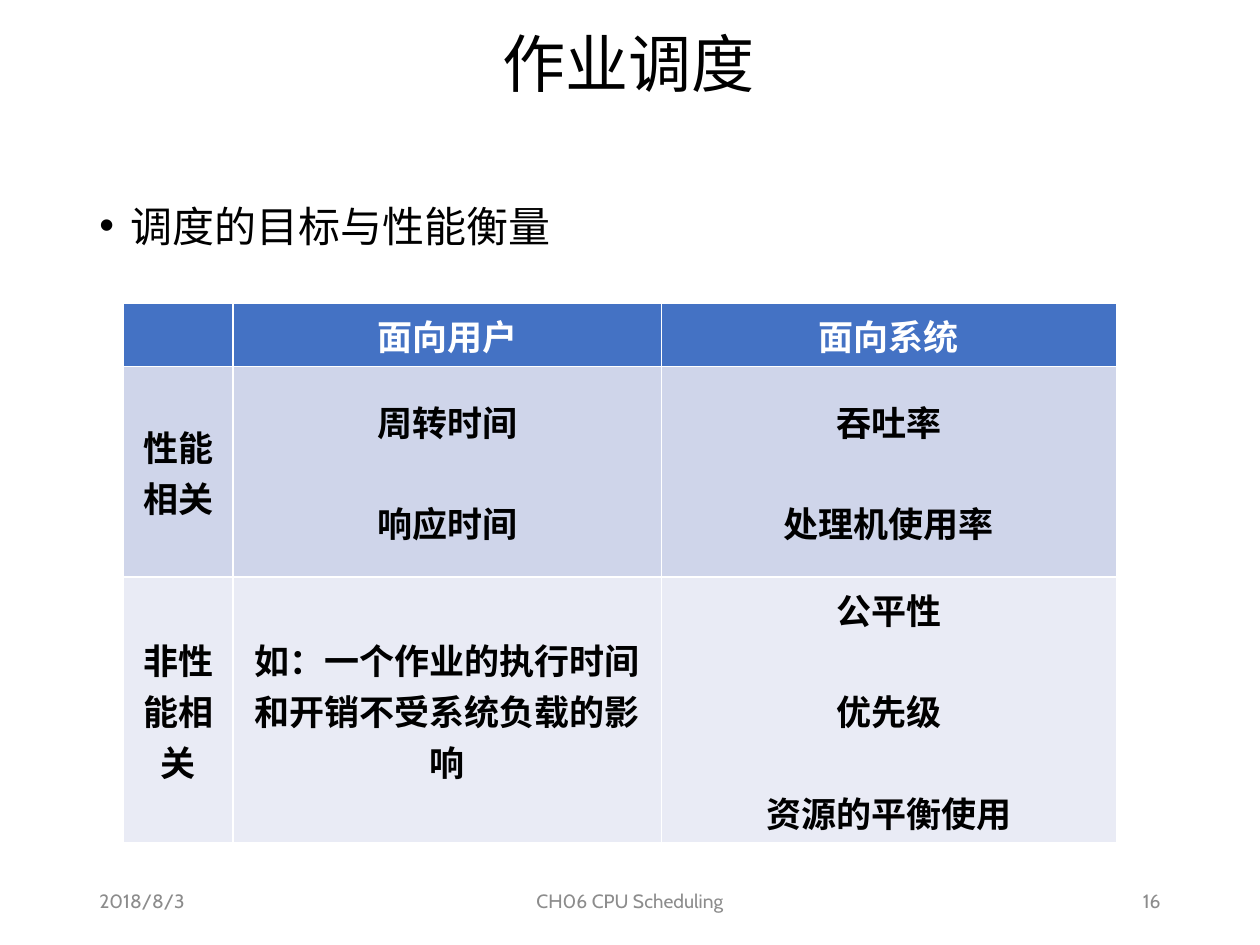
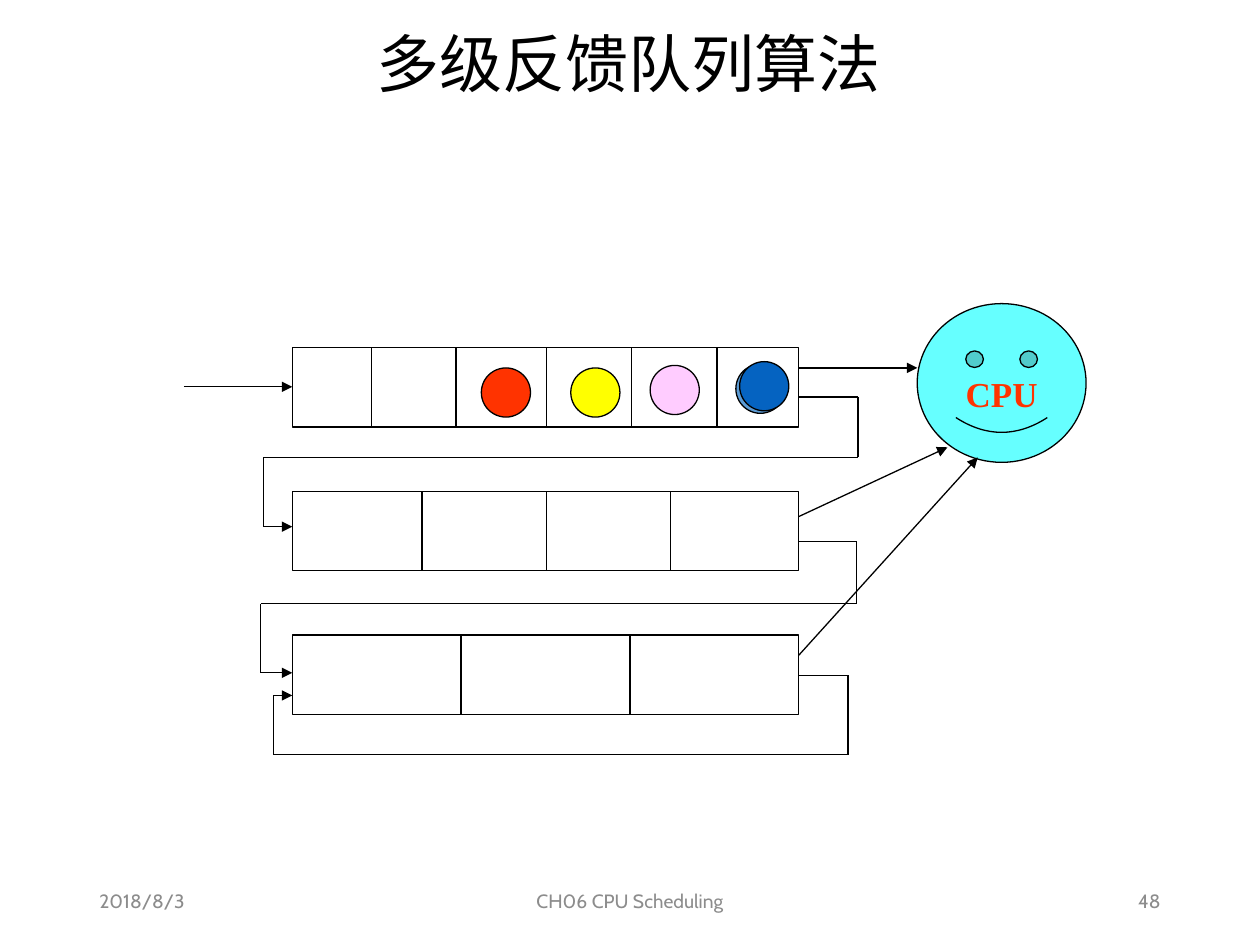
import itertools

import lxml.etree
import pptx
import pptx.dml.color
import pptx.enum.shapes
import pptx.enum.text
import pptx.oxml.ns
import pptx.util

Inches = pptx.util.Inches
Pt = pptx.util.Pt
ALIGN = pptx.enum.text.PP_ALIGN
ANCHOR = pptx.enum.text.MSO_ANCHOR
SHAPE = pptx.enum.shapes.MSO_SHAPE

# Shared style
CJK, LATIN, SERIF = "Noto Sans CJK SC", "Cabin", "Times New Roman"
BLACK, WHITE, GREY, RED = "000000", "FFFFFF", "8C8C8C", "FF3300"
LINE_WIDTH = 0.75
DATE, COURSE = "2018/8/3", "CH06 CPU Scheduling"

# Slide 1: scheduling goals
GOALS_TITLE, GOALS_PAGE = "作业调度", "16"
GOALS_BULLET = "调度的目标与性能衡量"
GOALS = [
    [[], ["面向用户"], ["面向系统"]],
    [["性能相关"], ["周转时间", "响应时间"], ["吞吐率", "处理机使用率"]],
    [["非性能相关"], ["如：一个作业的执行时间和开销不受系统负载的影响"],
     ["公平性", "优先级", "资源的平衡使用"]],
]
TABLE_LEFT, TABLE_TOP = 0.98, 2.41
COLUMN_WIDTHS = [0.87, 3.4, 3.61]
ROW_HEIGHTS = [0.5, 1.67, 2.11]
ROW_FILLS = ["4472C4", "CFD5EA", "E9EBF5"]

# Slide 2: feedback queues
QUEUES_TITLE, QUEUES_PAGE = "多级反馈队列算法", "48"
QUEUE_LEFT, QUEUE_RIGHT, QUEUE_HEIGHT = 2.32, 6.34, 0.63
QUEUES = [  # top, dividers
    (2.76, [2.95, 3.62, 4.34, 5.01, 5.69]),
    (3.9, [3.35, 4.34, 5.32]),
    (5.04, [3.66, 5]),
]
JOB_SIZE = 0.39
JOBS = [  # left, top, fill
    (5.84, 2.89, "5B9BD5"), (5.16, 2.9, "FFCCFF"), (4.53, 2.92, "FFFF00"),
    (3.82, 2.92, RED), (5.87, 2.87, "0563C1"),
]
FEEDBACK_LOOPS = [  # exit height, right edge, return height, left edge, entry height
    (3.15, 6.81, 3.63, 2.09, 4.18),
    (4.3, 6.8, 4.79, 2.07, 5.34),
    (5.36, 6.73, 5.99, 2.17, 5.52),
]
ARROWS = [
    ((1.46, 3.07), (QUEUE_LEFT, 3.07)),
    ((QUEUE_RIGHT, 2.92), (7.28, 2.92)),
    ((QUEUE_RIGHT, 4.1), (7.52, 3.55)),
    ((QUEUE_RIGHT, 5.2), (7.76, 3.63)),
]


def rgb(color):
    return pptx.dml.color.RGBColor.from_string(color)


def add_xml(parent, tag, **attributes):
    return lxml.etree.SubElement(parent, pptx.oxml.ns.qn(tag), attributes)


def format_paragraph(paragraph, size, font, color, align=ALIGN.LEFT, bold=False):
    paragraph.alignment = align
    for run in paragraph.runs:
        run.font.size = Pt(size)
        run.font.bold = bold
        run.font.color.rgb = rgb(color)
        run.font.name = font
        add_xml(run._r.get_or_add_rPr(), "a:ea", typeface=font)


def add_text(slide, box, text, size, font, color, align=ALIGN.LEFT, anchor=ANCHOR.MIDDLE):
    text_frame = slide.shapes.add_textbox(*map(Inches, box)).text_frame
    text_frame.word_wrap = True
    text_frame.vertical_anchor = anchor
    text_frame.text = text
    paragraph = text_frame.paragraphs[0]
    format_paragraph(paragraph, size, font, color, align)
    return paragraph


def add_slide(presentation, title, page):
    slide = presentation.slides.add_slide(presentation.slide_layouts[6])
    heading = add_text(slide, (0.68, 0.15, 8.62, 0.76), title, 36, CJK, BLACK, ALIGN.CENTER)
    heading.line_spacing = 0.9
    footers = [(0.69, 2.25, DATE, ALIGN.LEFT), (3.31, 3.38, COURSE, ALIGN.CENTER),
               (7.06, 2.25, page, ALIGN.RIGHT)]
    for left, width, text, align in footers:
        add_text(slide, (left, 6.95, width, 0.4), text, 11, LATIN, GREY, align)
    return slide


def add_shape(slide, kind, box, fill=None):
    shape = slide.shapes.add_shape(kind, *map(Inches, box))
    shape.shadow.inherit = False
    if fill:
        shape.fill.solid()
        shape.fill.fore_color.rgb = rgb(fill)
    else:
        shape.fill.background()
    shape.line.color.rgb = rgb(BLACK)
    shape.line.width = Pt(LINE_WIDTH)
    return shape


def add_line(slide, start, end, arrow=False):
    connector = slide.shapes.add_connector(
        pptx.enum.shapes.MSO_CONNECTOR.STRAIGHT, *map(Inches, start + end))
    connector.line.color.rgb = rgb(BLACK)
    connector.line.width = Pt(LINE_WIDTH)
    properties = connector._element.spPr
    if arrow:
        add_xml(properties.find(pptx.oxml.ns.qn("a:ln")), "a:tailEnd", type="triangle")
    add_xml(properties, "a:effectLst")


def fill_cell(cell, lines, fill, header):
    for side in "LRTB":
        border = add_xml(cell._tc.get_or_add_tcPr(), f"a:ln{side}", w=str(Pt(1)))
        add_xml(add_xml(border, "a:solidFill"), "a:srgbClr", val=WHITE)
    cell.fill.solid()
    cell.fill.fore_color.rgb = rgb(fill)
    cell.vertical_anchor = ANCHOR.TOP if header else ANCHOR.MIDDLE
    cell.text_frame.text = "\n".join(lines)
    for number, paragraph in enumerate(cell.text_frame.paragraphs):
        format_paragraph(paragraph, 20, CJK, WHITE if header else BLACK, ALIGN.CENTER, True)
        if number:
            paragraph.space_before = Pt(29)


def build_goals(presentation):
    slide = add_slide(presentation, GOALS_TITLE, GOALS_PAGE)

    # Bullet
    bullet = add_text(slide, (0.69, 1.44, 8.62, 5.38), GOALS_BULLET, 24, CJK, BLACK,
                      anchor=ANCHOR.TOP)
    bullet.line_spacing = 1.25
    bullet.space_before = Pt(10)
    properties = bullet._p.get_or_add_pPr()
    properties.set("marL", str(Inches(0.25)))
    properties.set("indent", str(-Inches(0.25)))
    add_xml(properties, "a:buFont", typeface="Arial")
    add_xml(properties, "a:buChar", char="•")

    # Table
    table = slide.shapes.add_table(
        len(GOALS), len(COLUMN_WIDTHS), Inches(TABLE_LEFT), Inches(TABLE_TOP),
        Inches(sum(COLUMN_WIDTHS)), Inches(sum(ROW_HEIGHTS))).table
    for column, width in zip(table.columns, COLUMN_WIDTHS):
        column.width = Inches(width)
    for number, (row, height) in enumerate(zip(table.rows, ROW_HEIGHTS)):
        row.height = Inches(height)
        for cell, lines in zip(row.cells, GOALS[number]):
            fill_cell(cell, lines, ROW_FILLS[number], header=number == 0)


def build_queues(presentation):
    slide = add_slide(presentation, QUEUES_TITLE, QUEUES_PAGE)

    # Processor
    processor = add_shape(slide, SHAPE.SMILEY_FACE, (7.28, 2.41, 1.34, 1.26), "66FFFF")
    processor.adjustments[0] = 0.047
    text_frame = processor.text_frame
    text_frame.word_wrap = False
    text_frame.margin_top = Inches(0.21)
    text_frame.vertical_anchor = ANCHOR.MIDDLE
    text_frame.text = "CPU"
    format_paragraph(text_frame.paragraphs[0], 20, SERIF, RED, ALIGN.CENTER, True)

    # Queues and their dividers
    for top, dividers in QUEUES:
        add_shape(slide, SHAPE.RECTANGLE,
                  (QUEUE_LEFT, top, QUEUE_RIGHT - QUEUE_LEFT, QUEUE_HEIGHT))
        for x in dividers:
            add_line(slide, (x, top), (x, top + QUEUE_HEIGHT))

    # Waiting jobs
    for left, top, fill in JOBS:
        add_shape(slide, SHAPE.OVAL, (left, top, JOB_SIZE, JOB_SIZE), fill)

    # Feedback loops, each ending in an arrow
    for exit_y, right, return_y, left, entry_y in FEEDBACK_LOOPS:
        corners = [(QUEUE_RIGHT, exit_y), (right, exit_y), (right, return_y),
                   (left, return_y), (left, entry_y), (QUEUE_LEFT, entry_y)]
        for start, end in itertools.pairwise(corners):
            add_line(slide, start, end, arrow=end == corners[-1])

    # Arrival and dispatch
    for start, end in ARROWS:
        add_line(slide, start, end, arrow=True)


def main():
    presentation = pptx.Presentation()
    presentation.slide_width = Inches(10)
    presentation.slide_height = Inches(7.5)
    build_goals(presentation)
    build_queues(presentation)
    presentation.save("out.pptx")


if __name__ == "__main__":
    main()
